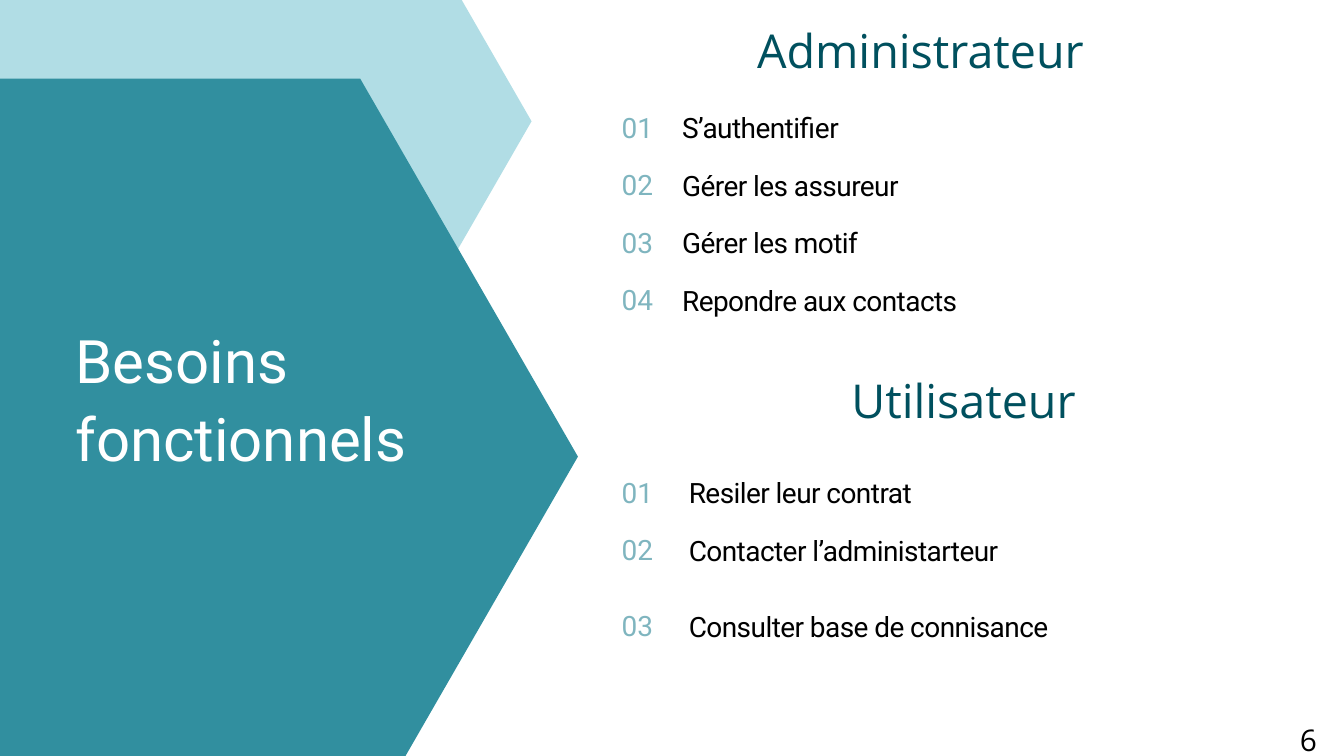
import dataclasses

import lxml.etree
import pptx
import pptx.dml.color
import pptx.enum.text
import pptx.oxml.ns
import pptx.util

Inches = pptx.util.Inches
Pt = pptx.util.Pt
Align = pptx.enum.text.PP_ALIGN


@dataclasses.dataclass(frozen=True)
class Style:
    size: float
    color: str
    leading: float
    font: str = "Roboto"
    align: Align = Align.LEFT
    tracking: int = 0


@dataclasses.dataclass(frozen=True)
class Theme:
    dark_panel: str = "318F9F"
    light_panel: str = "B1DDE5"
    title: Style = Style(64.2, "FFFFFF", 83.5)
    heading: Style = Style(50, "00505E", 70, "Open Sans", Align.CENTER)
    item: Style = Style(30, "000000", 39, tracking=-60)
    number: Style = Style(30, "7FB5BF", 36, align=Align.RIGHT)
    page_number: Style = Style(32, "000000", 110.6, "Open Sans", Align.CENTER)


THEME = Theme()


def rgb(value):
    return pptx.dml.color.RGBColor.from_string(value)


def place(box, left, top, width, height):
    box.left, box.top = Inches(left), Inches(top)
    box.width, box.height = Inches(width), Inches(height)


def write(box, lines, style, gaps=()):
    frame = box.text_frame
    frame.word_wrap = True
    frame.auto_size = pptx.enum.text.MSO_AUTO_SIZE.NONE
    frame.vertical_anchor = pptx.enum.text.MSO_ANCHOR.TOP
    frame.margin_left = frame.margin_right = 0
    frame.margin_top = frame.margin_bottom = 0
    for index, line in enumerate(lines):
        para = frame.add_paragraph() if index else frame.paragraphs[0]
        properties = para._p.get_or_add_pPr()
        properties.set("marL", "0")
        properties.set("indent", "0")
        lxml.etree.SubElement(properties, pptx.oxml.ns.qn("a:buNone"))
        para.alignment = style.align
        para.line_spacing = Pt(style.leading)
        para.space_before = Pt(gaps[index - 1] if index else 0)
        para.space_after = Pt(0)
        span = para.add_run()
        span.text = line
        span.font.name = style.font
        span.font.size = Pt(style.size)
        span.font.bold = False
        span.font.color.rgb = rgb(style.color)
        if style.tracking:
            span._r.get_or_add_rPr().set("spc", str(style.tracking))


def add_label(page, text, bounds, style):
    box = page.shapes.add_textbox(*map(Inches, bounds))
    write(box, [text], style)


def fill_placeholder(page, index, lines, bounds, style, gaps=()):
    box = page.placeholders[index]
    place(box, *bounds)
    write(box, lines, style, gaps)


def add_hexagon(page, left, top, width, height, inset, color):
    right, middle, bottom = left + width, top + height / 2, top + height
    corners = [
        (left + inset, top), (right - inset, top), (right, middle),
        (right - inset, bottom), (left + inset, bottom), (left, middle),
    ]
    points = [(Inches(x), Inches(y)) for x, y in corners]
    builder = page.shapes.build_freeform(*points[0])
    builder.add_line_segments(points[1:], close=True)
    hexagon = builder.convert_to_shape()
    hexagon.shadow.inherit = False
    hexagon.fill.solid()
    hexagon.fill.fore_color.rgb = rgb(color)
    hexagon.line.fill.background()
    page.shapes.title.element.addprevious(hexagon.element)


def add_numbered_list(page, index, items, left, tops):
    gaps = [(after - before) * 72 - THEME.item.leading
            for before, after in zip(tops, tops[1:])]
    height = tops[-1] - tops[0] + 0.54
    fill_placeholder(page, index, items, (left, tops[0], 8.88, height),
                     THEME.item, gaps)
    for number, top in enumerate(tops, start=1):
        add_label(page, f"{number:02}", (9.03, top + 0.03, 0.69, 0.51), THEME.number)


def main():
    deck = pptx.Presentation()
    deck.slide_width, deck.slide_height = Inches(20), Inches(11.25)
    page = deck.slides.add_slide(deck.slide_layouts.get_by_name("Comparison"))

    add_hexagon(page, -2.83, -1.6, 10.74, 6.81, 1.96, THEME.light_panel)
    add_hexagon(page, -3.51, 1.17, 12.11, 11.25, 3.24, THEME.dark_panel)
    fill_placeholder(page, 0, ["Besoins fonctionnels"], (1.12, 4.73, 5.2, 2.29), THEME.title)

    fill_placeholder(page, 1, ["Administrateur"], (10.82, 0.18, 5.76, 0.94), THEME.heading)
    add_numbered_list(
        page, 2,
        ["S’authentifier", "Gérer les assureur", "Gérer les motif", "Repondre aux contacts"],
        10.15, [1.61 + 0.855 * row for row in range(4)])

    fill_placeholder(page, 3, ["Utilisateur"], (12.35, 5.4, 3.98, 0.92), THEME.heading)
    add_numbered_list(
        page, 4,
        ["Resiler leur contrat", "Contacter l’administarteur", "Consulter base de connisance"],
        10.25, [7.04, 7.89, 9.03])

    add_label(page, "6", (18.96, 9.73, 1.02, 1.28), THEME.page_number)
    deck.save("out.pptx")


if __name__ == "__main__":
    main()
